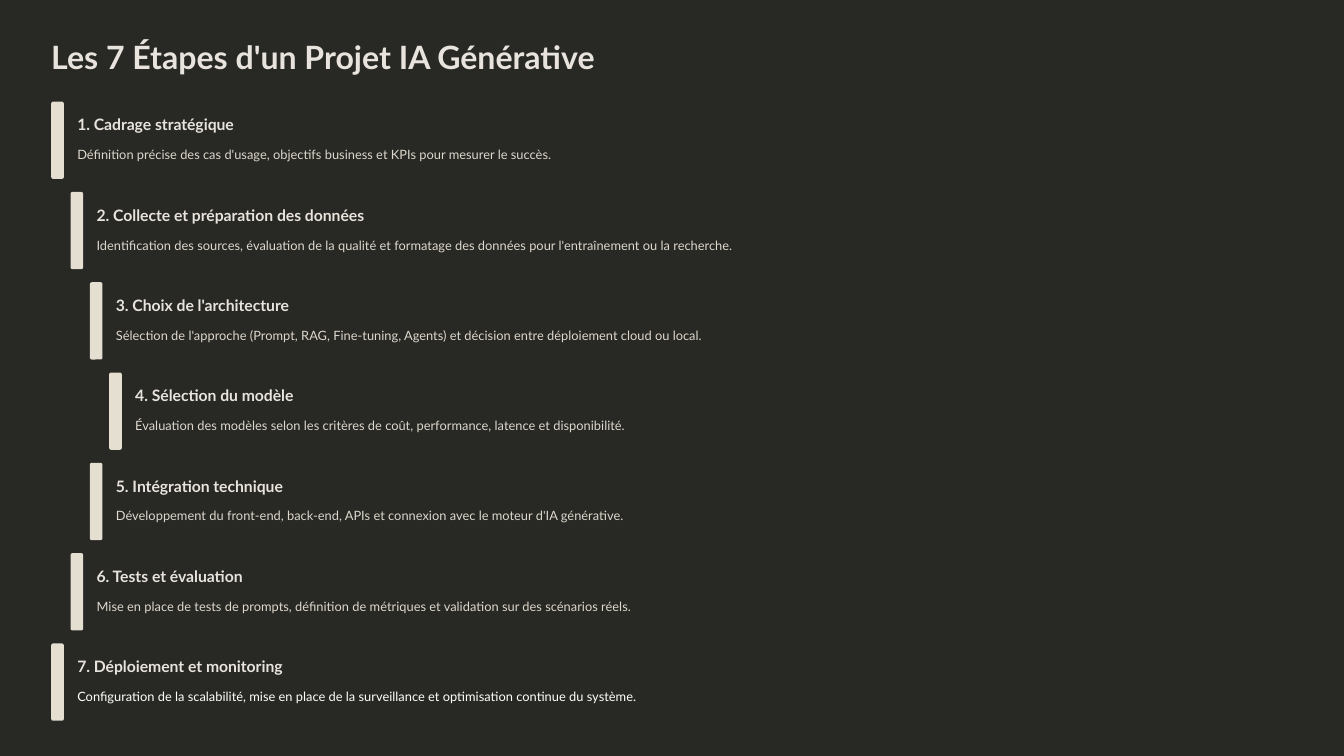
from pptx import Presentation
from pptx.dml.color import RGBColor
from pptx.enum.shapes import MSO_SHAPE
from pptx.enum.text import MSO_ANCHOR, MSO_AUTO_SIZE, PP_ALIGN
from pptx.util import Inches, Pt

COLORS = {
    "background": "282824",
    "bar": "E5DFD2",
    "heading": "E8E4DD",
    "description": "DED8CD",
    "white": "FFFFFF",
}

STEPS = [
    ("Cadrage stratégique", 1.93,
     "Définition précise des cas d'usage, objectifs business et KPIs pour mesurer le succès."),
    ("Collecte et préparation des données", 3.27,
     "Identification des sources, évaluation de la qualité et formatage des données pour l'entraînement ou la recherche."),
    ("Choix de l'architecture", 2.13,
     "Sélection de l'approche (Prompt, RAG, Fine-tuning, Agents) et décision entre déploiement cloud ou local."),
    ("Sélection du modèle", 1.92,
     "Évaluation des modèles selon les critères de coût, performance, latence et disponibilité."),
    ("Intégration technique", 2.05,
     "Développement du front-end, back-end, APIs et connexion avec le moteur d'IA générative."),
    ("Tests et évaluation", 1.92,
     "Mise en place de tests de prompts, définition de métriques et validation sur des scénarios réels."),
    ("Déploiement et monitoring", 2.51,
     "Configuration de la scalabilité, mise en place de la surveillance et optimisation continue du système."),
]


def write_text(shape, text, size, line_spacing, color, bold=False):
    frame = shape.text_frame
    frame.margin_left = frame.margin_right = frame.margin_top = frame.margin_bottom = 0
    frame.word_wrap = False
    frame.auto_size = MSO_AUTO_SIZE.NONE
    frame.vertical_anchor = MSO_ANCHOR.TOP
    paragraph = frame.paragraphs[0]
    paragraph.alignment = PP_ALIGN.LEFT
    paragraph.line_spacing = Pt(line_spacing)
    paragraph.space_before = Pt(0)
    run = paragraph.add_run()
    run.text = text
    run.font.name = "Lato"
    run.font.size = Pt(size)
    run.font.bold = bold
    run.font.color.rgb = RGBColor.from_string(COLORS[color])


presentation = Presentation()
presentation.slide_width = Inches(16)
presentation.slide_height = Inches(9)
slide = presentation.slides.add_slide(presentation.slide_layouts[5])
slide.background.fill.solid()
slide.background.fill.fore_color.rgb = RGBColor.from_string(COLORS["background"])

title = slide.shapes.title
title.left, title.top = Inches(0.61), Inches(0.42)
title.width, title.height = Inches(6.51), Inches(0.48)
write_text(title, "Les 7 Étapes d'un Projet IA Générative",
           size=27.5, line_spacing=34.5, color="heading", bold=True)

row_pitch = 1.075
indent = 0.23
text_right = 15.38
middle = len(STEPS) // 2

for index, (heading, heading_width, description) in enumerate(STEPS):
    left = 0.61 + indent * (middle - abs(index - middle))
    top = 1.21 + row_pitch * index
    text_left = left + 0.31

    bar = slide.shapes.add_shape(MSO_SHAPE.ROUNDED_RECTANGLE, Inches(left), Inches(top),
                                 Inches(0.15), Inches(0.92))
    bar.adjustments[0] = 0.15
    bar.shadow.inherit = False
    bar.fill.solid()
    bar.fill.fore_color.rgb = RGBColor.from_string(COLORS["bar"])
    bar.line.fill.background()

    heading_box = slide.shapes.add_textbox(Inches(text_left), Inches(top + 0.15),
                                           Inches(heading_width), Inches(0.24))
    write_text(heading_box, f"{index + 1}. {heading}",
               size=13.5, line_spacing=17, color="heading", bold=True)

    description_box = slide.shapes.add_textbox(Inches(text_left), Inches(top + 0.48),
                                               Inches(text_right - text_left), Inches(0.25))
    is_last = index == len(STEPS) - 1
    write_text(description_box, description, size=11, line_spacing=17.5,
               color="white" if is_last else "description")

presentation.save("out.pptx")
